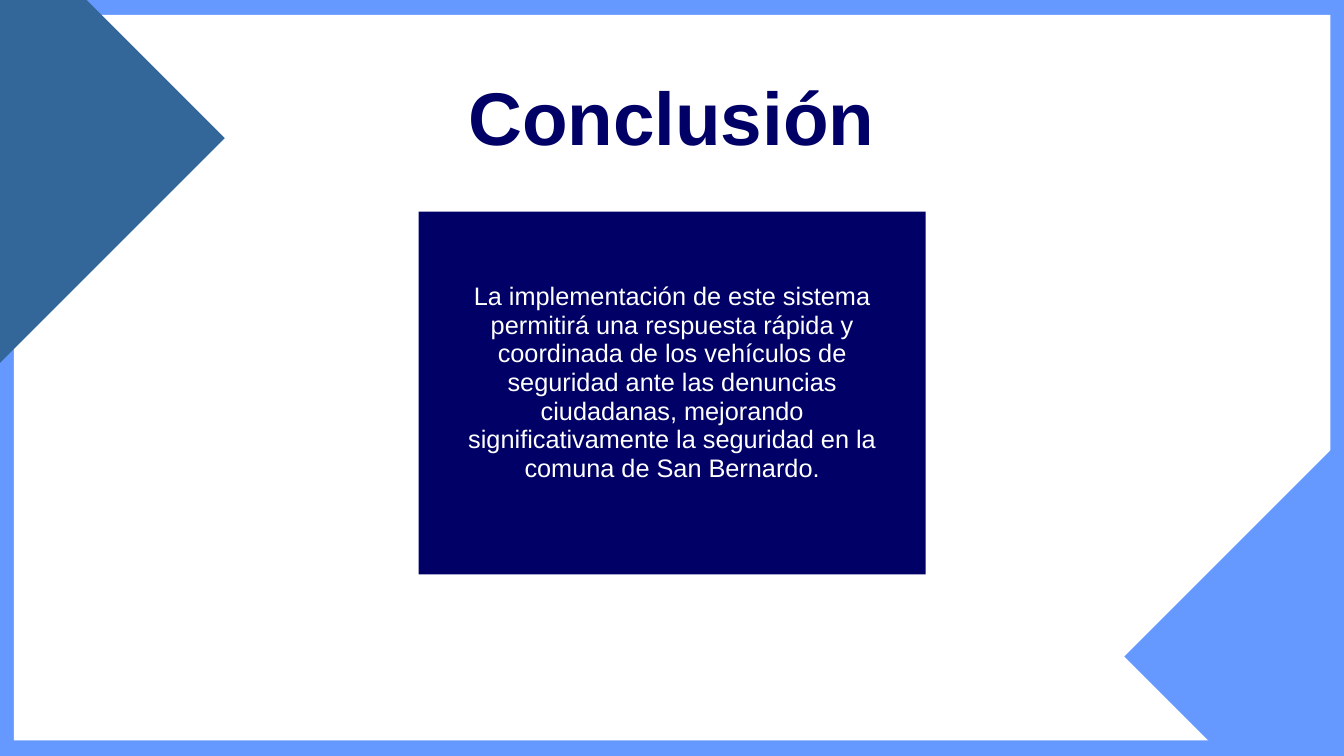
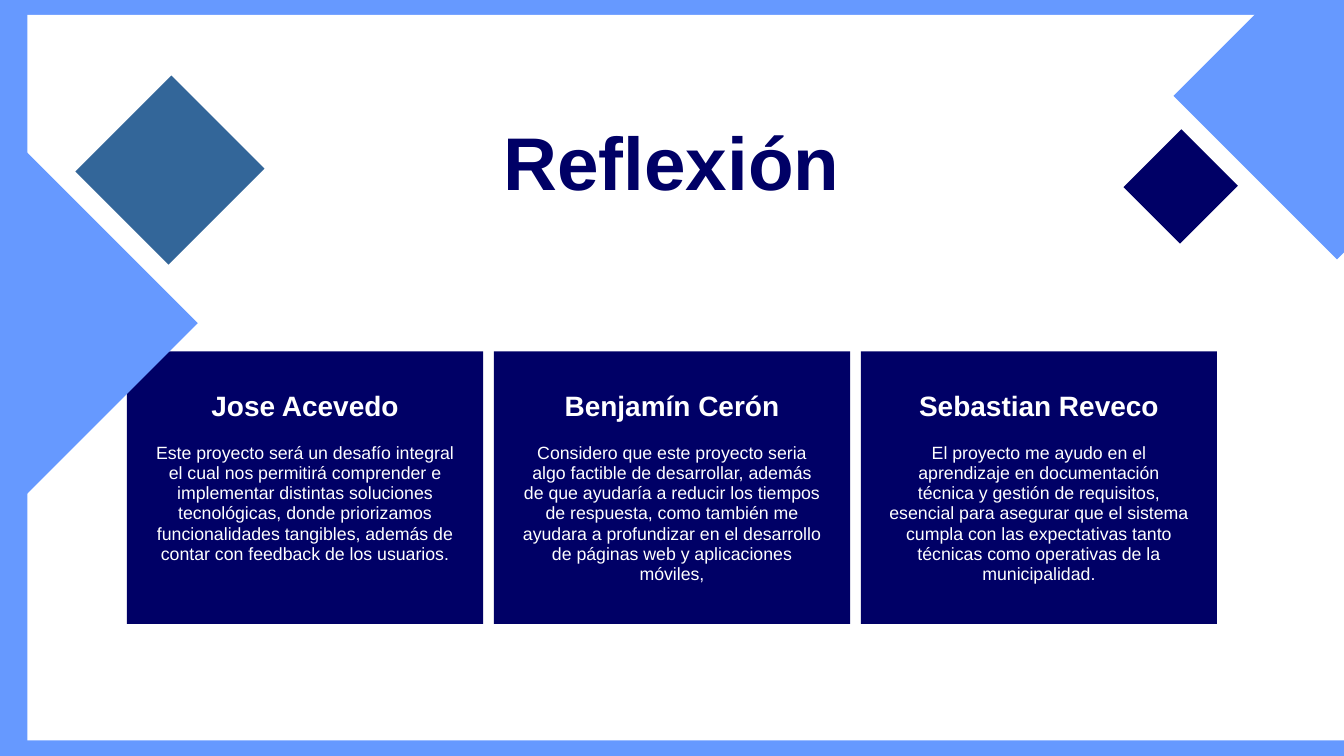
"""Build the conclusion and reflection slides of a project presentation."""
import pptx
import pptx.dml.color
import pptx.enum.shapes
import pptx.enum.text
import pptx.util

Cm = pptx.util.Cm
Pt = pptx.util.Pt

COLORS = {"sky": "6699FF", "steel": "336699", "navy": "000066", "white": "FFFFFF"}
FONT = "Arial"
LARGE_DIAMOND = (13.64, 12.52)
CARD_LEFT, CARD_TOP, CARD_WIDTH, CARD_HEIGHT = 4.8, 13.28, 13.46, 10.31
CARD_PITCH = 13.87
CARD_INSET = 1.07

CONCLUSION = (
    "La implementación de este sistema permitirá una respuesta rápida y coordinada "
    "de los vehículos de seguridad ante las denuncias ciudadanas, mejorando "
    "significativamente la seguridad en la comuna de San Bernardo."
)
REFLECTIONS = [
    ("Jose Acevedo",
     "Este proyecto será un desafío integral el cual nos permitirá comprender e "
     "implementar distintas soluciones tecnológicas, donde priorizamos "
     "funcionalidades tangibles, además de contar con feedback de los usuarios."),
    ("Benjamín Cerón",
     "Considero que este proyecto seria algo factible de desarrollar, además de que "
     "ayudaría a reducir los tiempos de respuesta, como también me ayudara a "
     "profundizar en el desarrollo de páginas web y aplicaciones móviles,"),
    ("Sebastian Reveco",
     "El proyecto me ayudo en el aprendizaje en documentación técnica y gestión de "
     "requisitos, esencial para asegurar que el sistema cumpla con las expectativas "
     "tanto técnicas como operativas de la municipalidad."),
]


def rgb(color):
    """Return the named palette colour."""
    return pptx.dml.color.RGBColor.from_string(COLORS[color])


def add_rectangle(slide, left, top, width, height, color, rotation=0):
    """Add a plain filled rectangle, measured in centimetres."""
    shape = slide.shapes.add_shape(
        pptx.enum.shapes.MSO_SHAPE.RECTANGLE, Cm(left), Cm(top), Cm(width), Cm(height))
    shape.shadow.inherit = False
    shape.fill.solid()
    shape.fill.fore_color.rgb = rgb(color)
    shape.line.fill.background()
    shape.rotation = rotation


def add_diamond(slide, left, top, size, color):
    """Add a rectangle turned onto its corner."""
    add_rectangle(slide, left, top, *size, color, rotation=315)


def add_text(slide, left, top, width, height, text, size, spacing, color="white", bold=False):
    """Add a centred text box without margins."""
    box = slide.shapes.add_textbox(Cm(left), Cm(top), Cm(width), Cm(height))
    frame = box.text_frame
    frame.word_wrap = True
    frame.auto_size = pptx.enum.text.MSO_AUTO_SIZE.SHAPE_TO_FIT_TEXT
    frame.margin_left = frame.margin_right = frame.margin_top = frame.margin_bottom = 0
    paragraph = frame.paragraphs[0]
    paragraph.alignment = pptx.enum.text.PP_ALIGN.CENTER
    paragraph.line_spacing = Pt(spacing)
    run = paragraph.add_run()
    run.text = text
    run.font.name = FONT
    run.font.size = Pt(size)
    run.font.bold = bold
    run.font.color.rgb = rgb(color)


def add_framed_slide(presentation, page_left, title, title_top):
    """Add a slide with a white page on a blue ground and a title."""
    slide = presentation.slides.add_slide(presentation.slide_layouts[6])
    slide.background.fill.solid()
    slide.background.fill.fore_color.rgb = rgb("sky")
    add_rectangle(slide, page_left, 0.56, 49.76, 27.43, "white")
    add_text(slide, 2.84, title_top, 45.09, 2.82, title, 80, 75.2, "navy", bold=True)
    return slide


def add_card(slide, index, name, reflection):
    """Add one person's card at its place in the row."""
    left = CARD_LEFT + index * CARD_PITCH
    text_left = left + CARD_INSET
    text_width = CARD_WIDTH - 2 * CARD_INSET
    add_rectangle(slide, left, CARD_TOP, CARD_WIDTH, CARD_HEIGHT, "navy")
    add_text(slide, text_left, 16.76, text_width, 5.92, reflection, 19, 21.5)
    add_text(slide, text_left, 14.76, text_width, 1.19, name, 30, 33.9, bold=True)


def build_conclusion(presentation):
    """Build the conclusion slide."""
    slide = add_framed_slide(presentation, 0.53, "Conclusión", 3.4)
    add_diamond(slide, -7.57, -0.64, LARGE_DIAMOND, "steel")
    add_diamond(slide, 44.93, 18.16, LARGE_DIAMOND, "sky")
    add_rectangle(slide, 15.82, 8, 19.17, 13.72, "navy")
    add_text(slide, 17.35, 10.67, 16.12, 8.46, CONCLUSION, 27.1, 30.6)


def build_reflection(presentation):
    """Build the reflection slide."""
    slide = add_framed_slide(presentation, 1.04, "Reflexión", 5.13)
    for index, (name, reflection) in enumerate(REFLECTIONS):
        add_card(slide, index, name, reflection)
    add_diamond(slide, -8.59, 6.35, LARGE_DIAMOND, "sky")
    add_diamond(slide, 46.05, -1.02, (9.53, 8.74), "sky")
    add_diamond(slide, 3.86, 3.94, (5.13, 4.98), "steel")
    add_diamond(slide, 43.08, 5.54, (3.1, 3.02), "navy")


def main():
    """Build and save the presentation."""
    presentation = pptx.Presentation()
    presentation.slide_width = Cm(50.8)
    presentation.slide_height = Cm(28.58)
    build_conclusion(presentation)
    build_reflection(presentation)
    presentation.save("out.pptx")


if __name__ == "__main__":
    main()
